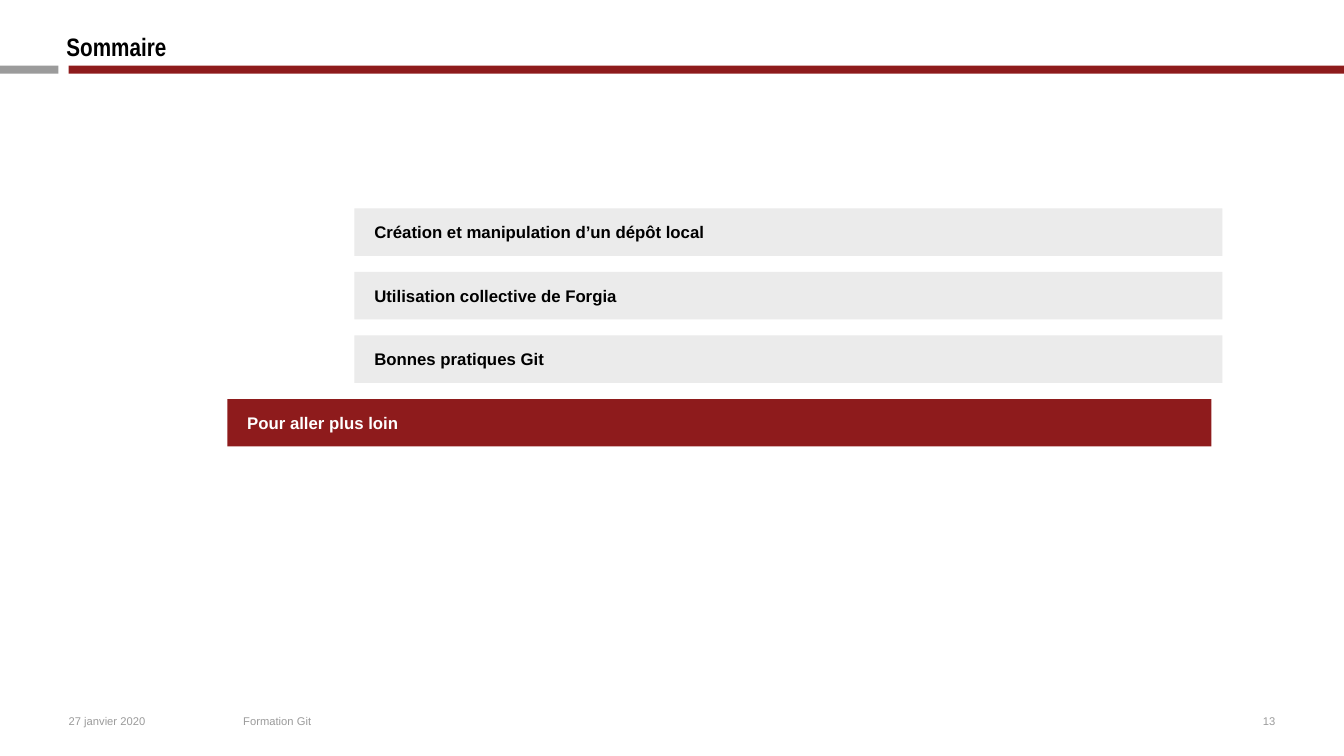
import dataclasses

import pptx
import pptx.dml.color
import pptx.enum.shapes
import pptx.enum.text
import pptx.util

Pt = pptx.util.Pt
ANCHOR = pptx.enum.text.MSO_ANCHOR
ALIGN = pptx.enum.text.PP_ALIGN


@dataclasses.dataclass(frozen=True)
class Theme:
    red: str = "8E1B1C"
    grey: str = "9B9B9B"
    pale: str = "EBEBEB"
    black: str = "000000"
    white: str = "FFFFFF"
    body_font: str = "Arial"
    title_font: str = "Arial Narrow"
    title_size: float = 18
    item_size: float = 12
    footer_size: float = 8


THEME = Theme()
SLIDE_WIDTH, SLIDE_HEIGHT = 960, 540
AGENDA = [
    "Création et manipulation d’un dépôt local",
    "Utilisation collective de Forgia",
    "Bonnes pratiques Git",
    "Pour aller plus loin",
]


def color(value):
    return pptx.dml.color.RGBColor.from_string(value)


def write(shape, text, *, size, fill, font=THEME.body_font, bold=False,
          align=ALIGN.LEFT, anchor=ANCHOR.MIDDLE, insets=(0, 0),
          space_before=0, line_spacing=None):
    """Fill a shape with one paragraph; insets are (horizontal, vertical)."""
    frame = shape.text_frame
    frame.word_wrap = True
    frame.auto_size = pptx.enum.text.MSO_AUTO_SIZE.NONE
    frame.vertical_anchor = anchor
    frame.margin_left = frame.margin_right = Pt(insets[0])
    frame.margin_top = frame.margin_bottom = Pt(insets[1])
    paragraph = frame.paragraphs[0]
    paragraph.alignment = align
    paragraph.space_before = Pt(space_before)
    if line_spacing:
        paragraph.line_spacing = Pt(line_spacing)
    run = paragraph.add_run()
    run.text = text
    run.font.name = font
    run.font.size = Pt(size)
    run.font.bold = bold
    run.font.color.rgb = color(fill)


def add_bar(slide, left, top, width, height, fill):
    bar = slide.shapes.add_shape(pptx.enum.shapes.MSO_SHAPE.RECTANGLE,
                                 Pt(left), Pt(top), Pt(width), Pt(height))
    bar.shadow.inherit = False
    bar.fill.solid()
    bar.fill.fore_color.rgb = color(fill)
    bar.line.fill.background()
    return bar


def add_header(slide, left, top, width, height, text):
    """Place the title in the box, with the two-part rule near its foot."""
    rule_top, rule_height, red_left = top + 28.8, 5.8, left + 7.2
    add_bar(slide, 0, rule_top, left, rule_height, THEME.grey)
    add_bar(slide, red_left, rule_top, SLIDE_WIDTH - red_left, rule_height, THEME.red)
    title = slide.shapes.title
    title.left, title.top = Pt(left), Pt(top)
    title.width, title.height = Pt(width), Pt(height)
    write(title, text, size=THEME.title_size, fill=THEME.black,
          font=THEME.title_font, bold=True, anchor=ANCHOR.BOTTOM,
          insets=(5.67, 5.67), line_spacing=20)


def add_agenda(slide, left, top, width, items, active):
    """Stack the items; the active one is red, wider and set out to the left."""
    bar_height, step = 33.9, 45.38
    for index, item in enumerate(items):
        bar_top = top + index * step
        if index == active:
            bar = add_bar(slide, left - 90.8, bar_top, width + 83, bar_height, THEME.red)
        else:
            bar = add_bar(slide, left, bar_top, width, bar_height, THEME.pale)
        write(bar, item, size=THEME.item_size, bold=True, insets=(14.2, 5.67),
              fill=THEME.white if index == active else THEME.black, space_before=6)


def add_footer(slide, left, top, width, height, date, subject, number):
    columns = [
        (date, left, 113, ALIGN.LEFT),
        (subject, left + 124.7, 472, ALIGN.LEFT),
        (number, left + width - 30, 30, ALIGN.RIGHT),
    ]
    for text, column_left, column_width, align in columns:
        box = slide.shapes.add_textbox(Pt(column_left), Pt(top), Pt(column_width), Pt(height))
        write(box, text, size=THEME.footer_size, fill=THEME.grey, align=align)


def main():
    presentation = pptx.Presentation()
    presentation.slide_width = Pt(SLIDE_WIDTH)
    presentation.slide_height = Pt(SLIDE_HEIGHT)
    slide = presentation.slides.add_slide(presentation.slide_layouts.get_by_name("Title Only"))
    add_header(slide, 41.8, 18, 862, 31.7, "Sommaire")
    add_agenda(slide, 253.2, 148.9, 620, AGENDA, active=3)
    add_footer(slide, 49, 508, 862, 14.4, "27 janvier 2020", "Formation Git", "13")
    presentation.save("out.pptx")


if __name__ == "__main__":
    main()
